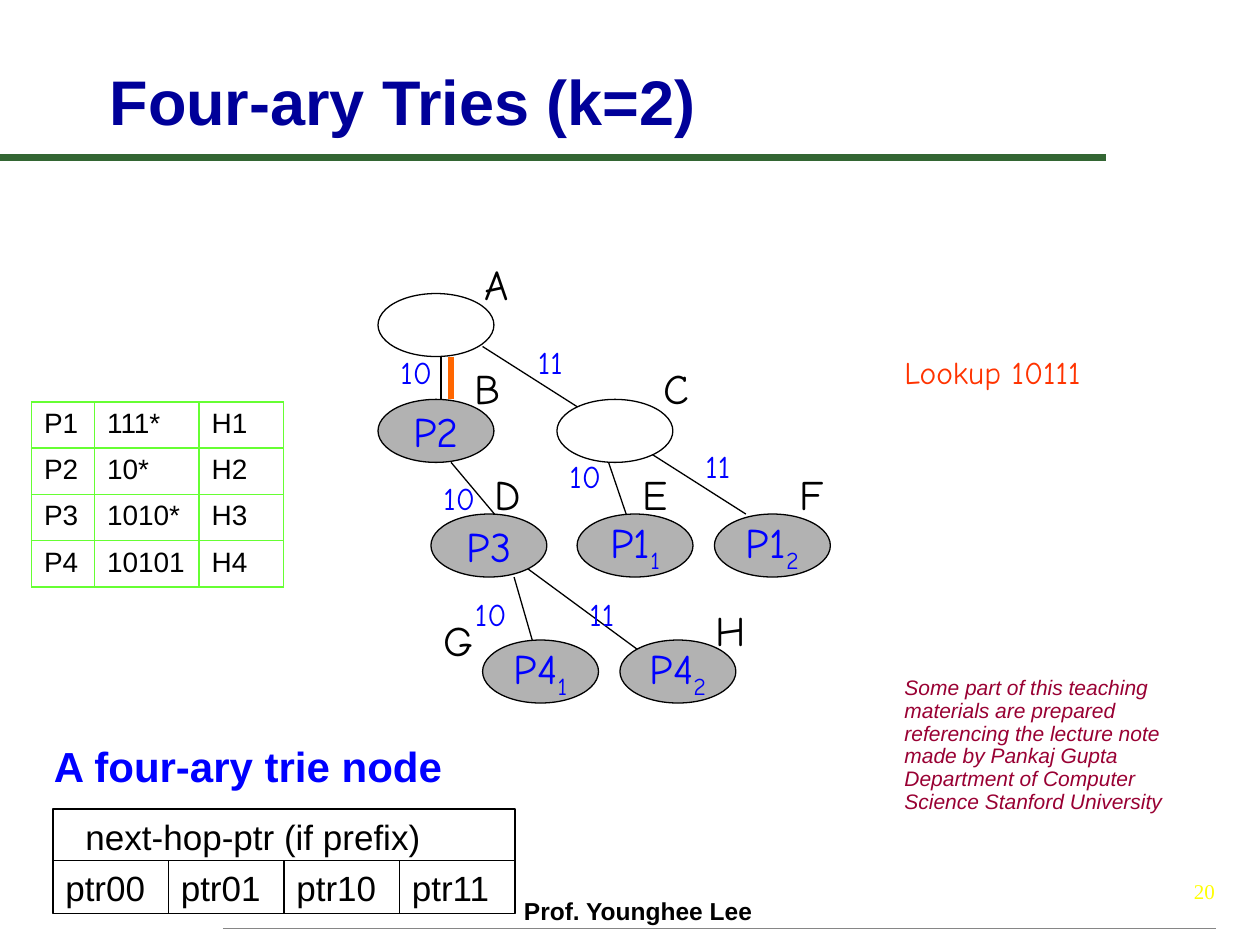
from lxml.etree import SubElement
from pptx import Presentation
from pptx.dml.color import RGBColor
from pptx.enum.shapes import MSO_CONNECTOR, MSO_SHAPE
from pptx.enum.text import MSO_ANCHOR, MSO_AUTO_SIZE, PP_ALIGN
from pptx.oxml import parse_xml
from pptx.oxml.ns import nsdecls, qn
from pptx.util import Inches, Pt

BLACK, WHITE, GRAY, BLUE = "000000", "FFFFFF", "B2B2B2", "0000FF"
SANS, HAND = "Arial", "Comic Neue"


def rgb(value):
    return RGBColor.from_string(value)


def write(frame, text, size=24, font=SANS, color=BLACK, bold=False, italic=False,
          align=PP_ALIGN.LEFT, anchor=MSO_ANCHOR.TOP, wrap=False, sub="", spacing=None):
    """Fill a text frame with one paragraph; sub is an added subscript."""
    frame.word_wrap = wrap
    frame.vertical_anchor = anchor
    paragraph = frame.paragraphs[0]
    paragraph.alignment = align
    if spacing:
        paragraph.line_spacing = spacing
    for part in filter(None, (text, sub)):
        run = paragraph.add_run()
        run.text = part
        run.font.size, run.font.name = Pt(size), font
        run.font.bold, run.font.italic = bold, italic
        run.font.color.rgb = rgb(color)
    if sub:
        run.font._element.set("baseline", "-25000")


class SlideBuilder:
    """Holds the current slide and the drawing style."""

    def __init__(self, slide, outline=0.75, border="66FF33"):
        self.slide = slide
        self.shapes = slide.shapes
        self.outline = outline
        self.border = border

    def title(self, text, left, top, width, height):
        title = self.shapes.title
        title.left, title.top = Inches(left), Inches(top)
        title.width, title.height = Inches(width), Inches(height)
        title.text_frame.auto_size = MSO_AUTO_SIZE.NONE
        write(title.text_frame, text, size=36, color="000099", bold=True,
              anchor=MSO_ANCHOR.BOTTOM, wrap=True)

    def text(self, text, left, top, width, height, **style):
        box = self.shapes.add_textbox(*map(Inches, (left, top, width, height)))
        write(box.text_frame, text, **style)

    def shape(self, kind, left, top, width, height, fill=WHITE):
        shape = self.shapes.add_shape(kind, *map(Inches, (left, top, width, height)))
        shape.shadow.inherit = False
        shape.fill.solid()
        shape.fill.fore_color.rgb = rgb(fill)
        shape.line.color.rgb = rgb(BLACK)
        shape.line.width = Pt(self.outline)
        return shape

    def node(self, left, top, prefix, sub):
        node = self.shape(MSO_SHAPE.OVAL, left, top, 0.92, 0.5, GRAY if prefix else WHITE)
        if prefix:
            write(node.text_frame, prefix, font=HAND, color=BLUE, sub=sub,
                  align=PP_ALIGN.CENTER, anchor=MSO_ANCHOR.MIDDLE)

    def line(self, x1, y1, x2, y2, color=BLACK, width=None):
        line = self.shapes.add_connector(MSO_CONNECTOR.STRAIGHT,
                                         *map(Inches, (x1, y1, x2, y2)))
        line.line.color.rgb = rgb(color)
        line.line.width = Pt(width or self.outline)
        SubElement(line._element.spPr, qn("a:effectLst"))

    def table(self, rows, left, top, column_widths, row_height, size):
        table = self.shapes.add_table(
            len(rows), len(column_widths), Inches(left), Inches(top),
            Inches(sum(column_widths)), Inches(row_height * len(rows))).table
        table.first_row = table.horz_banding = False
        for column, width in zip(table.columns, column_widths):
            column.width = Inches(width)
        for r, row in enumerate(rows):
            for c, value in enumerate(row):
                cell = table.cell(r, c)
                write(cell.text_frame, value, size=size, wrap=True)
                self.cell_borders(cell)
                cell.fill.solid()
                cell.fill.fore_color.rgb = rgb(WHITE)

    def cell_borders(self, cell):
        properties = cell._tc.get_or_add_tcPr()
        for side in "LRTB":
            properties.append(parse_xml(
                f'<a:ln{side} {nsdecls("a")} w="{Pt(1)}"><a:solidFill>'
                f'<a:srgbClr val="{self.border}"/></a:solidFill></a:ln{side}>'))


def draw_trie(page):
    edges = [(3.5, 2.83, 3.5, 3.17), (3.83, 2.75, 5.92, 4.08), (3.58, 3.67, 4, 4.17),
             (4.83, 3.67, 5, 4.17), (4.08, 4.58, 4.25, 5.17), (4.17, 4.5, 5.08, 5.17)]
    for edge in edges:
        page.line(*edge)
    page.line(3.58, 2.83, 3.58, 3.17, color="FF6600", width=3)

    # node position, prefix, subscript, then letter and its position
    nodes = [(3, 2.33, "", "", "A", 3.75, 2), (3, 3.17, "P2", "", "B", 3.67, 2.83),
             (4.42, 3.17, "", "", "C", 5.17, 2.83), (3.42, 4.08, "P3", "", "D", 3.83, 3.67),
             (4.58, 4.08, "P1", "1", "E", 5, 3.67), (5.67, 4.08, "P1", "2", "F", 6.25, 3.67),
             (3.83, 5.08, "P4", "1", "G", 3.42, 4.83), (4.92, 5.08, "P4", "2", "H", 5.58, 4.75)]
    for left, top, prefix, sub, letter, letter_left, letter_top in nodes:
        page.node(left, top, prefix, sub)
        page.text(letter, letter_left, letter_top, 0.43, 0.5, font=HAND)

    edge_bits = [("10", 3.08, 2.75), ("11", 4.17, 2.67), ("10", 3.42, 3.75),
                 ("10", 4.42, 3.58), ("11", 5.5, 3.5), ("10", 3.67, 4.67), ("11", 4.58, 4.67)]
    for bits, left, top in edge_bits:
        page.text(bits, left, top, 0.45, 0.4, size=18, font=HAND, color=BLUE)


def draw_node_layout(page):
    left, top, middle, bottom, pointer_width = 0.42, 6.42, 6.83, 7.25, 0.917
    right = left + 4 * pointer_width
    page.text("A four-ary trie node", 0.33, 5.83, 3.31, 0.5, color=BLUE, bold=True)
    page.shape(MSO_SHAPE.RECTANGLE, left, top, right - left, bottom - top)
    page.text("next-hop-ptr (if prefix)", 0.58, top, 2.88, 0.44, size=20)
    page.line(left, middle, right, middle)
    for i, bits in enumerate(("00", "01", "10", "11")):
        x = left + i * pointer_width
        page.text(f"ptr{bits}", x, middle, 0.84, 0.44, size=20)
        if i:
            page.line(x, middle, x, bottom)


def main():
    deck = Presentation()
    deck.slide_width, deck.slide_height = Inches(10), Inches(7.5)
    page = SlideBuilder(deck.slides.add_slide(deck.slide_layouts[5]))

    page.line(0, 1.25, 8.78, 1.25, color="336633", width=4)
    page.line(1.77, 7.37, 9.65, 7.37, color="868686", width=1)
    page.title("Four-ary Tries (k=2)", 0.77, 0.44, 8.15, 0.71)
    draw_trie(page)
    draw_node_layout(page)
    prefixes = [("P1", "111*", "H1"), ("P2", "10*", "H2"),
                ("P3", "1010*", "H3"), ("P4", "10101", "H4")]
    page.table(prefixes, 0.25, 3.19, (0.5, 0.83, 0.67), 0.367, size=16)
    page.text("Lookup 10111", 7.08, 2.75, 1.68, 0.4, size=18, font=HAND, color="FF3300")
    page.text("Some part of this teaching materials are prepared referencing the lecture note "
              "made by Pankaj Gupta Department of Computer Science Stanford University",
              7.08, 5.33, 2.37, 1.19, size=12, color="990033", italic=True,
              wrap=True, spacing=0.9)
    page.text("Prof. Younghee Lee", 4.06, 7.06, 2.08, 0.33, size=14, bold=True, wrap=True)
    page.text("20", 7.66, 6.82, 2.08, 0.5, size=12, font="Times New Roman", color="FFFF00",
              align=PP_ALIGN.RIGHT, anchor=MSO_ANCHOR.MIDDLE, wrap=True)
    deck.save("out.pptx")


if __name__ == "__main__":
    main()
